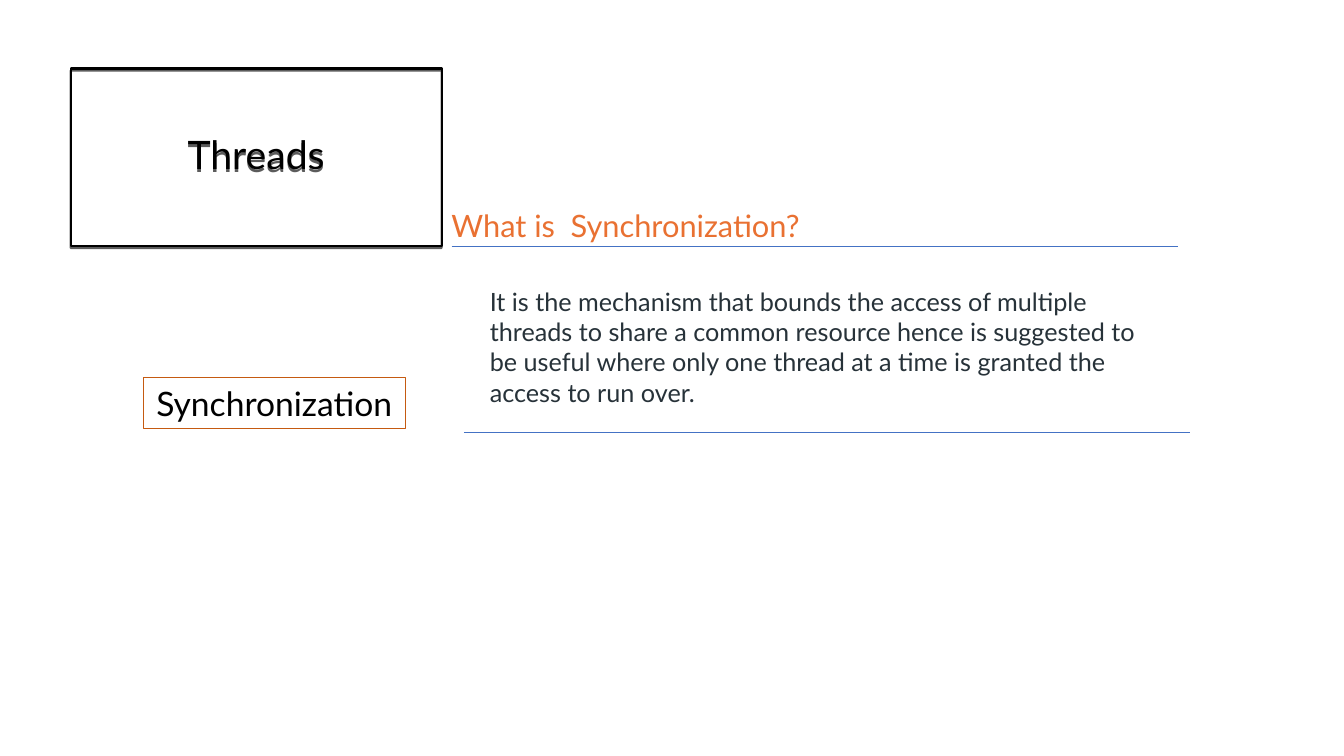
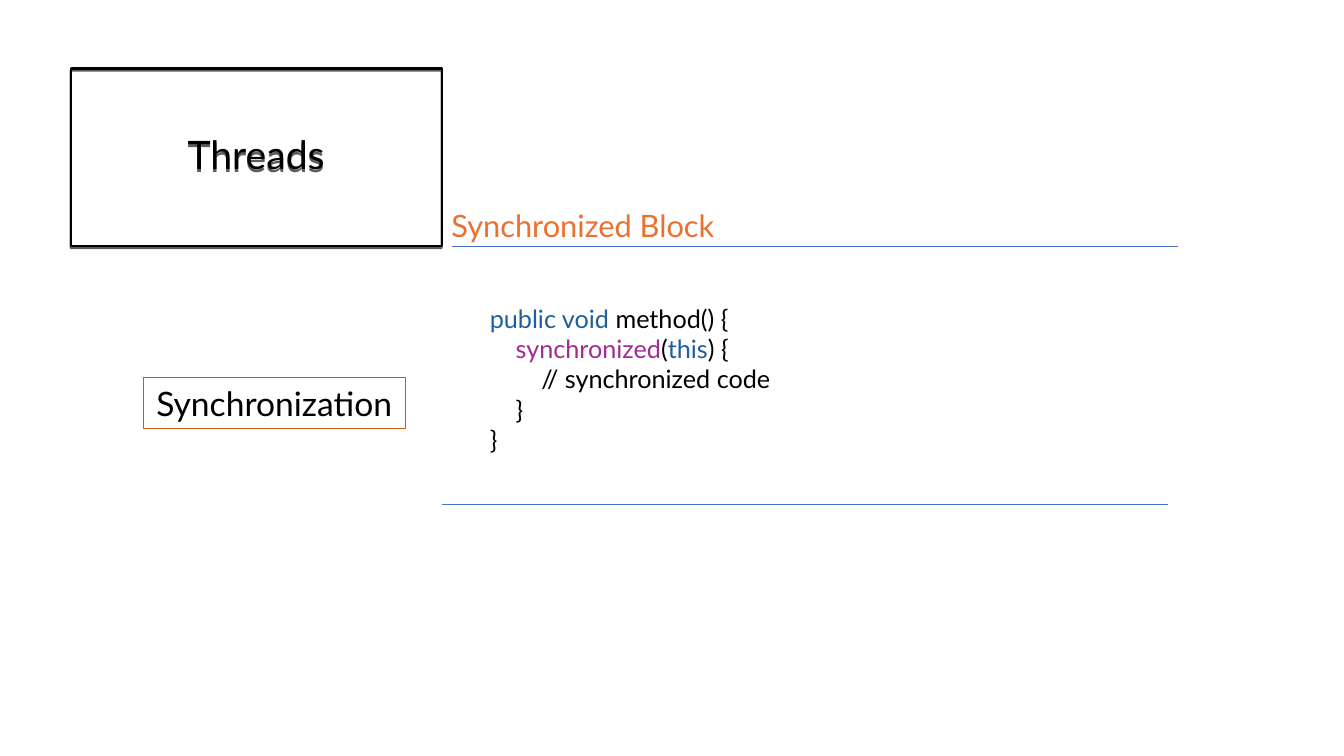
from pptx import Presentation
from pptx.dml.color import RGBColor
from pptx.enum.shapes import MSO_CONNECTOR, MSO_SHAPE
from pptx.enum.text import MSO_ANCHOR, PP_ALIGN
from pptx.oxml import parse_xml
from pptx.oxml.ns import nsdecls
from pptx.util import Inches, Pt

FONT = "Lato"
COLORS = {
    "black": "000000",
    "rule": "4472C4",
    "label_edge": "C55A11",
    "heading": "E97132",
    "prose": "273239",
    "keyword": "215F9A",
    "sync": "A02B93",
}

# Content: each paragraph is a list of (text, colour) spans
TITLE = "Threads"
LABEL = "Synchronization"
PAGES = [
    {
        "heading": "What is  Synchronization?",
        "body": [[("It is the mechanism that bounds the access of multiple threads "
                   "to share a common resource hence is suggested to be useful where "
                   "only one thread at a time is granted the access to run over.", "prose")]],
        "body_at": (4.76, 2.79, 6.86, 1.31),
        "rule_at": (4.6, 4.29),
    },
    {
        "heading": "Synchronized Block",
        "body": [
            [("public void ", "keyword"), ("method() {", "black")],
            [("    ", "black"), ("synchronized", "sync"), ("(", "black"),
             ("this", "keyword"), (") {", "black")],
            [("        // synchronized code", "black")],
            [("    }", "black")],
            [("}", "black")],
        ],
        "body_at": (4.76, 2.96, 6.67, 1.62),
        "rule_at": (4.38, 5),
    },
]

# Shared layout
TITLE_AT = (0.7, 0.68, 3.68, 1.76)
LABEL_AT = (1.42, 3.75, 2.6, 0.5)
HEADING_AT = (4.38, 2, 6.67, 0.47)
HEADING_RULE_AT = (4.48, 2.44)
RULE_WIDTH = 7.2


def color(name):
    return RGBColor.from_string(COLORS[name])


def write(shape, paragraphs, size, align=PP_ALIGN.LEFT, wrap=True):
    frame = shape.text_frame
    frame.word_wrap = wrap
    for index, spans in enumerate(paragraphs):
        para = frame.paragraphs[0] if index == 0 else frame.add_paragraph()
        para.alignment = align
        for text, name in spans:
            span = para.add_run()
            span.text = text
            span.font.name = FONT
            span.font.size = Pt(size)
            span.font.color.rgb = color(name)


def add_text(page, at, paragraphs, size):
    box = page.shapes.add_textbox(*map(Inches, at))
    write(box, paragraphs, size)


def add_frame(page, at, text, size, edge, weight, wrap=True):
    box = page.shapes.add_shape(MSO_SHAPE.RECTANGLE, *map(Inches, at))
    box.shadow.inherit = False
    box.fill.background()
    box.line.color.rgb = color(edge)
    box.line.width = Pt(weight)
    write(box, [[(text, "black")]], size, PP_ALIGN.CENTER, wrap)
    box.text_frame.vertical_anchor = MSO_ANCHOR.MIDDLE
    return box


def add_title(page):
    box = add_frame(page, TITLE_AT, TITLE, 28, "black", 1.5)
    box.text_frame.paragraphs[0].line_spacing = 0.9
    # Short shadow straight below the frame and its text
    effects = box._element.spPr.find("{*}effectLst")
    effects.append(parse_xml(
        f'<a:outerShdw {nsdecls("a")} blurRad="0" dist="{Pt(1.5)}" dir="5400000" '
        f'rotWithShape="0"><a:srgbClr val="{COLORS["black"]}">'
        '<a:alpha val="63000"/></a:srgbClr></a:outerShdw>'))


def add_rule(page, left, top):
    ends = map(Inches, (left, top, left + RULE_WIDTH, top))
    rule = page.shapes.add_connector(MSO_CONNECTOR.STRAIGHT, *ends)
    rule.line.color.rgb = color("rule")
    rule.line.width = Pt(0.5)
    rule._element.spPr.append(parse_xml(f'<a:effectLst {nsdecls("a")}/>'))


def add_page(deck, content):
    page = deck.slides.add_slide(deck.slide_layouts[6])
    add_title(page)
    add_rule(page, *HEADING_RULE_AT)
    add_rule(page, *content["rule_at"])
    add_frame(page, LABEL_AT, LABEL, 24, "label_edge", 0.75, wrap=False)
    add_text(page, HEADING_AT, [[(content["heading"], "heading")]], 22)
    add_text(page, content["body_at"], content["body"], 18)


def main():
    deck = Presentation()
    deck.slide_width, deck.slide_height = Inches(13.33), Inches(7.5)
    for content in PAGES:
        add_page(deck, content)
    deck.save("out.pptx")


if __name__ == "__main__":
    main()
